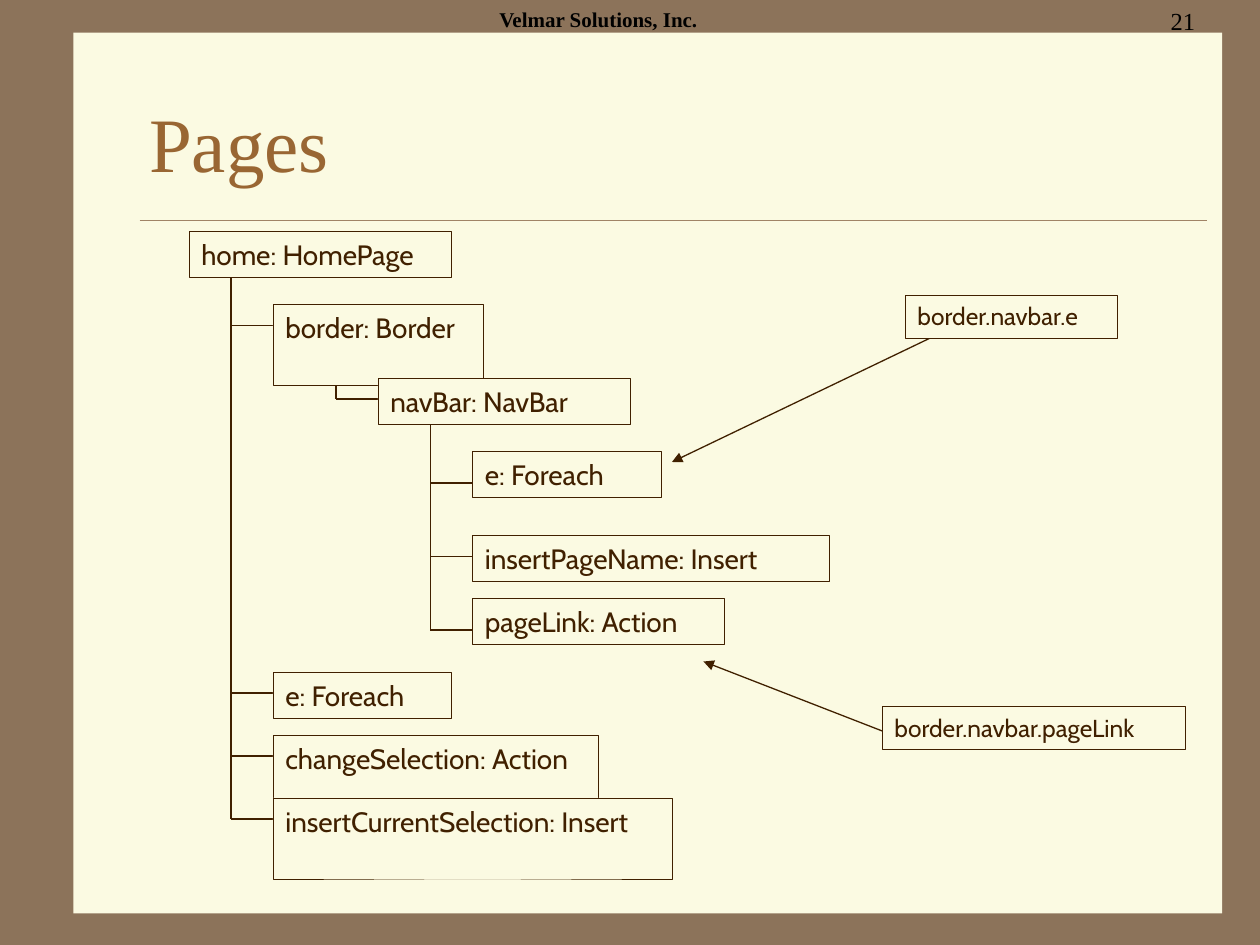
from pptx import Presentation
from pptx.dml.color import RGBColor
from pptx.enum.shapes import MSO_CONNECTOR, MSO_SHAPE
from pptx.enum.text import MSO_ANCHOR, PP_ALIGN
from pptx.oxml.ns import qn
from pptx.util import Pt
from lxml.etree import SubElement

PX = 7620  # EMU per px, 120 px to the inch
BROWN = RGBColor(0x8C, 0x73, 0x5A)
CREAM = RGBColor(0xFB, 0xFA, 0xE2)
TAN = RGBColor(0xA0, 0x83, 0x66)
RUST = RGBColor(0x99, 0x66, 0x33)
DARK = RGBColor(0x40, 0x20, 0x00)
BLACK = RGBColor(0, 0, 0)
SERIF, SANS = "Times New Roman", "Cabin"

# Component boxes: text, left, top, width, height
LOW, TALL = 44, 77
COMPONENTS = [
    ("home: HomePage", 180, 220, 250, LOW),
    ("e: Foreach", 260, 640, 170, LOW),
    ("changeSelection: Action", 260, 700, 310, TALL),
    ("insertCurrentSelection: Insert", 260, 760, 380, TALL),
    ("e: Foreach", 450, 430, 180, LOW),
    ("insertPageName: Insert", 450, 510, 340, LOW),
    ("pageLink: Action", 450, 570, 240, LOW),
    ("border: Border", 260, 290, 200, TALL),
    ("navBar: NavBar", 360, 360, 240, LOW),
]
# Tree lines: trunk x, trunk top, branches as (y, right end)
TRUNKS = [
    (220, 250, [(310, 290), (660, 290), (720, 270), (780, 290)]),
    (410, 390, [(460, 460), (530, 470), (600, 480)]),
    (320, 320, [(380, 380)]),
]
# Paths: text, box, arrow from and to
PATHS = [
    ("border.navbar.e", (862, 281, 202, 41), (890, 320, 640, 440)),
    ("border.navbar.pageLink", (840, 673, 289, 41), (850, 700, 670, 630)),
]
# Header: text, box, alignment, size, bold
HEADERS = [
    ("Velmar Solutions, Inc.", (380, 0, 380, 60), PP_ALIGN.CENTER, 12, True),
    ("21", (900, 0, 250, 60), PP_ALIGN.RIGHT, 14, False),
]

prs = Presentation()
prs.slide_width, prs.slide_height = 1200 * PX, 900 * PX
slide = prs.slides.add_slide(prs.slide_layouts[5])
slide.background.fill.solid()
slide.background.fill.fore_color.rgb = BROWN


def scaled(lengths):
    return [length * PX for length in lengths]


def write(shape, text, size, font, color, align=PP_ALIGN.LEFT,
          anchor=MSO_ANCHOR.TOP, bold=False):
    frame = shape.text_frame
    frame.word_wrap = True
    frame.vertical_anchor = anchor
    paragraph = frame.paragraphs[0]
    paragraph.text = text
    paragraph.alignment = align
    paragraph.font.size = Pt(size)
    paragraph.font.name = font
    paragraph.font.bold = bold
    paragraph.font.color.rgb = color


def add_rect(box):
    rect = slide.shapes.add_shape(MSO_SHAPE.RECTANGLE, *scaled(box))
    rect.shadow.inherit = False
    rect.fill.solid()
    rect.fill.fore_color.rgb = CREAM
    return rect


def add_label(text, box, size):
    label = add_rect(box)
    label.line.color.rgb = DARK
    label.line.width = Pt(0.25)
    write(label, text, size, SANS, DARK)


def add_line(ends, color=DARK, width=0.75, arrow=False):
    line = slide.shapes.add_connector(MSO_CONNECTOR.STRAIGHT, *scaled(ends))
    line.line.color.rgb = color
    line.line.width = Pt(width)
    if arrow:
        SubElement(line.line._get_or_add_ln(), qn("a:tailEnd"), type="triangle")
    SubElement(line._element.spPr, qn("a:effectLst"))
    return line


# Panel and rule, behind the title
title = slide.shapes.title
panel = add_rect((70, 31, 1094, 839))
panel.line.fill.background()
rule = add_line((133, 210, 1150, 210), TAN, 0.25)
for part in (panel, rule):
    title.element.addprevious(part.element)

# Title
title.left, title.top, title.width, title.height = scaled((130, 60, 1020, 150))
write(title, "Pages", 44, SERIF, RUST, anchor=MSO_ANCHOR.MIDDLE)

# Component tree, lines under the boxes
for x, top, branches in TRUNKS:
    add_line((x, top, x, branches[-1][0]))
    for y, end in branches:
        add_line((x, y, end, y))
for text, *box in COMPONENTS:
    add_label(text, box, 16)

# Paths with arrows to their components
for text, box, arrow in PATHS:
    add_line(arrow, arrow=True)
    add_label(text, box, 14)

# Header
for text, box, align, size, bold in HEADERS:
    header = slide.shapes.add_textbox(*scaled(box))
    write(header, text, size, SERIF, BLACK, align, bold=bold)

prs.save("out.pptx")
